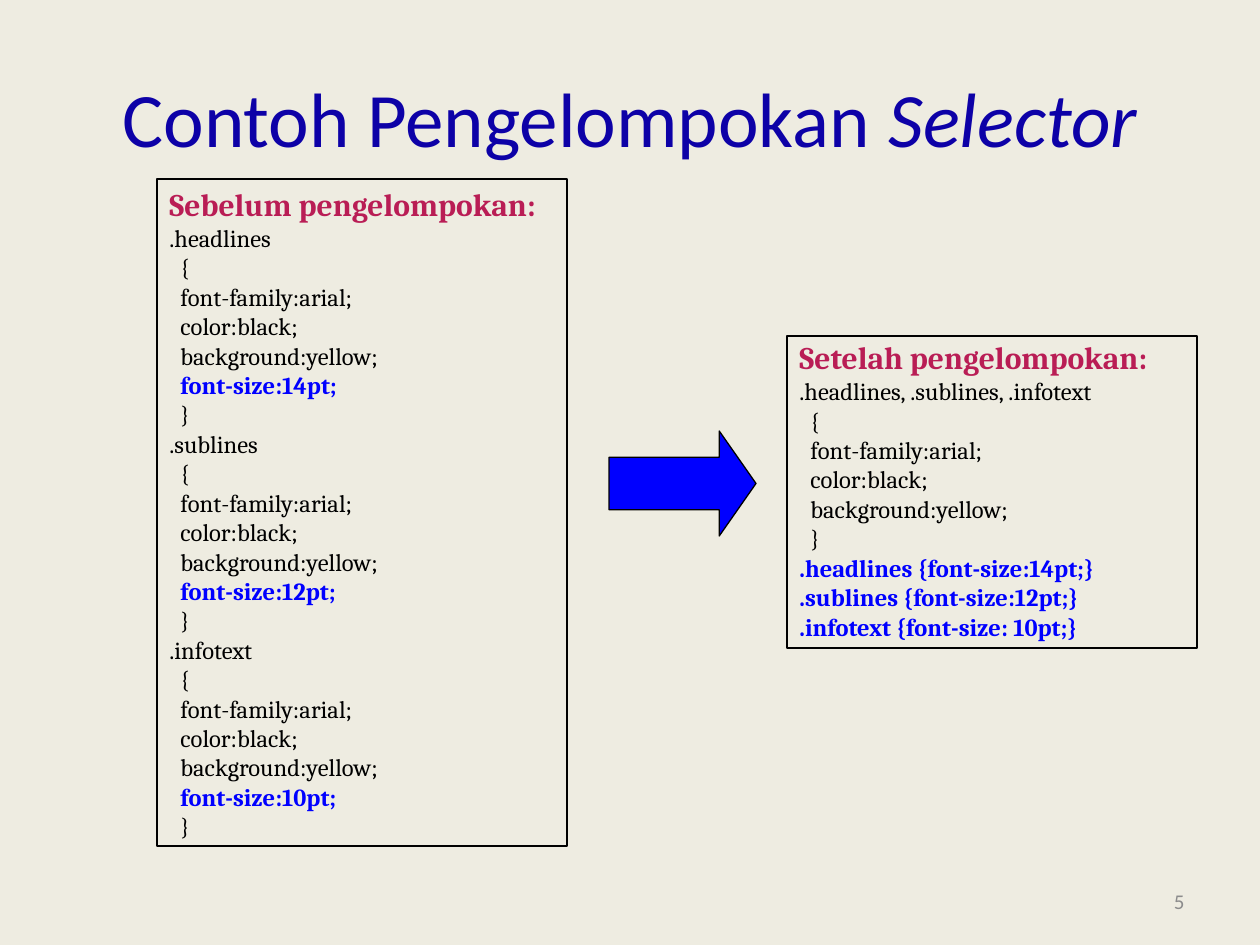
from pptx import Presentation
from pptx.dml.color import RGBColor
from pptx.enum.shapes import MSO_SHAPE
from pptx.enum.text import MSO_ANCHOR, PP_ALIGN
from pptx.util import Pt

RECTANGLE = MSO_SHAPE.RECTANGLE
RIGHT_ARROW = MSO_SHAPE.RIGHT_ARROW
TOP, MIDDLE = MSO_ANCHOR.TOP, MSO_ANCHOR.MIDDLE
LEFT, CENTER, RIGHT = PP_ALIGN.LEFT, PP_ALIGN.CENTER, PP_ALIGN.RIGHT

COLORS = {
    "background": "EEECE1",
    "title": "0D01A7",
    "heading": "B91D55",
    "code": "000000",
    "accent": "0000FF",
    "number": "8C8C8C",
}
SHARED_RULES = ["font-family:arial;", "color:black;", "background:yellow;"]
FONT_SIZES = {".headlines": "14pt", ".sublines": "12pt", ".infotext": "10pt"}


class SlideBuilder:
    scale = 914400 / 126
    indent = 11

    def __init__(self, deck):
        self.slide = deck.slides.add_slide(deck.slide_layouts[6])
        fill = self.slide.background.fill
        fill.solid()
        fill.fore_color.rgb = self.color("background")

    @classmethod
    def emu(cls, pixels):
        return round(pixels * cls.scale)

    def color(self, name):
        return RGBColor.from_string(COLORS[name])

    def style(self, span, font, size, color, bold=False, italic=False):
        span.font.name = font
        span.font.size = Pt(size)
        span.font.color.rgb = self.color(color)
        span.font.bold = bold
        span.font.italic = italic

    def label(self, place, spans, size, color, align):
        box = self.slide.shapes.add_textbox(*map(self.emu, place))
        frame = box.text_frame
        frame.word_wrap = True
        frame.vertical_anchor = MIDDLE
        para = frame.paragraphs[0]
        para.alignment = align
        for text, italic in spans:
            span = para.add_run()
            span.text = text
            self.style(span, "Calibri", size, color, italic=italic)

    def shape(self, kind, place, fill=None):
        shape = self.slide.shapes.add_shape(kind, *map(self.emu, place))
        shape.shadow.inherit = False
        if fill:
            shape.fill.solid()
            shape.fill.fore_color.rgb = self.color(fill)
        else:
            shape.fill.background()
        shape.line.color.rgb = self.color("code")
        shape.line.width = Pt(0.75)
        return shape

    def arrow(self, place):
        arrow = self.shape(RIGHT_ARROW, place, "accent")
        arrow.adjustments[0] = 0.5
        arrow.adjustments[1] = 0.35

    def code_box(self, place, heading, lines, heading_spacing=1.0):
        frame = self.shape(RECTANGLE, place).text_frame
        frame.word_wrap = True
        frame.vertical_anchor = TOP
        frame.text = "\n".join([heading] + [text for text, _, _ in lines])
        first, *rest = frame.paragraphs
        first.alignment = LEFT
        first.line_spacing = heading_spacing
        self.style(first.runs[0], "Cambria", 18, "heading", bold=True)
        for para, (_, level, accent) in zip(rest, lines):
            para.alignment = LEFT
            properties = para._p.get_or_add_pPr()
            properties.set("marL", str(self.emu(level * self.indent)))
            color = "accent" if accent else "code"
            self.style(para.runs[0], "Cambria", 14, color, bold=accent)


def rule_block(selector, size=None):
    lines = [(selector, 0, False), ("{", 1, False)]
    lines += [(rule, 1, False) for rule in SHARED_RULES]
    if size:
        lines.append((f"font-size:{size};", 1, True))
    return lines + [("}", 1, False)]


def main():
    deck = Presentation()
    deck.slide_width = SlideBuilder.emu(1260)
    deck.slide_height = SlideBuilder.emu(945)
    page = SlideBuilder(deck)

    page.label((903, 876, 294, 50), [("5", False)], 12, "number", RIGHT)

    before = []
    for selector, size in FONT_SIZES.items():
        before += rule_block(selector, size)
    page.code_box((157, 179, 410, 667), "Sebelum pengelompokan:", before)

    after = rule_block(", ".join(FONT_SIZES))
    after += [
        (".headlines {font-size:14pt;}", 0, True),
        (".sublines {font-size:12pt;}", 0, True),
        (".infotext {font-size: 10pt;}", 0, True),
    ]
    page.code_box((787, 336, 410, 312), "Setelah pengelompokan:", after, 0.9)

    title = [("Contoh Pengelompokan ", False), ("Selector", True)]
    page.label((63, 38, 1134, 158), title, 44, "title", CENTER)
    page.arrow((609, 431, 147, 105))

    deck.save("out.pptx")


if __name__ == "__main__":
    main()
